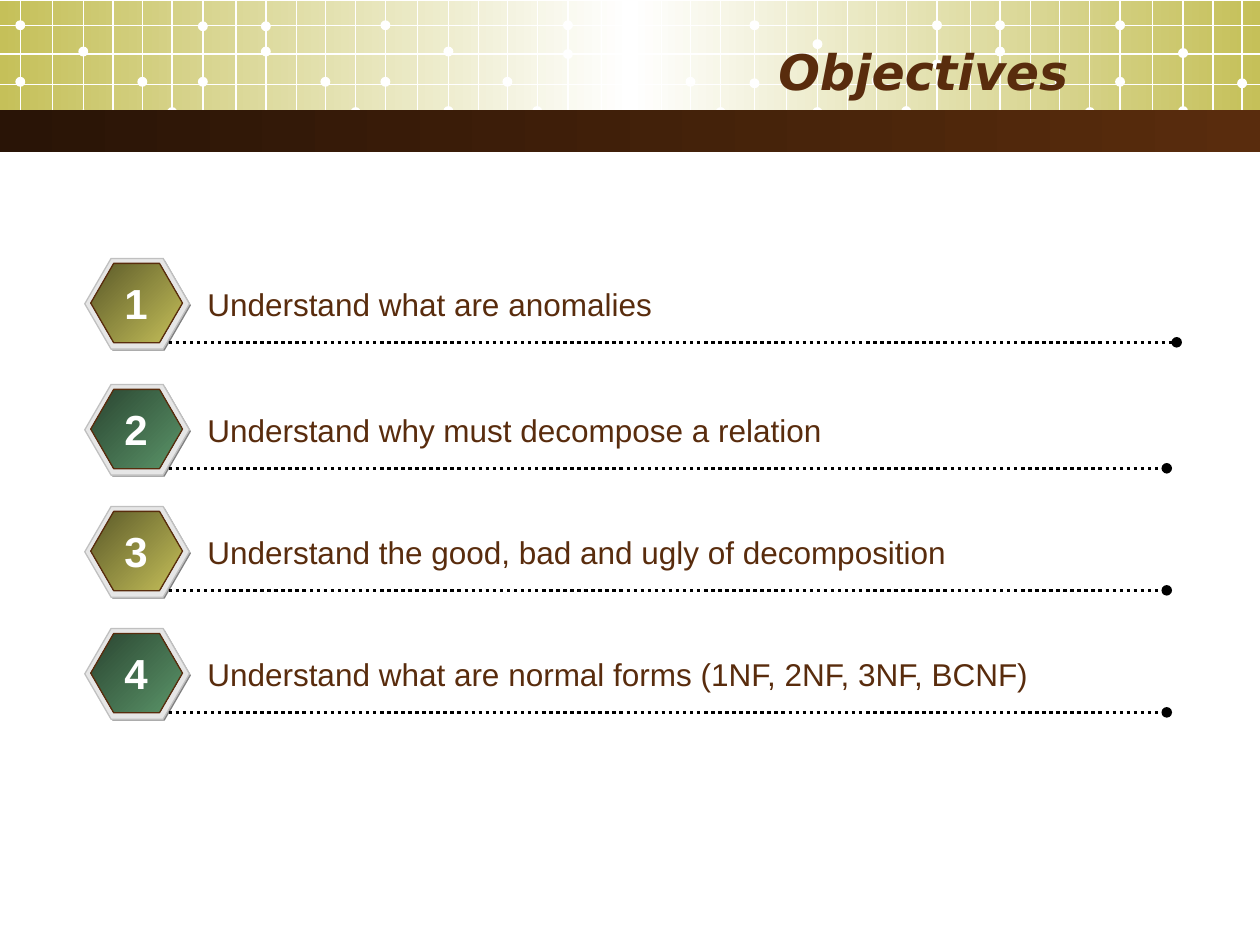
from copy import deepcopy

from lxml.etree import SubElement
from pptx import Presentation
from pptx.dml.color import RGBColor
from pptx.enum.dml import MSO_LINE
from pptx.enum.shapes import MSO_CONNECTOR, MSO_SHAPE
from pptx.enum.text import MSO_ANCHOR, MSO_AUTO_SIZE, PP_ALIGN
from pptx.oxml.ns import qn
from pptx.util import Cm, Pt

TITLE = "Objectives"
OBJECTIVES = [
    {"text": "Understand what are anomalies", "top": 5.21, "size": (13.49, 1.02), "rule_end": 23.72},
    {"text": "Understand why must decompose a relation", "top": 7.75, "size": (16.36, 1.02), "rule_end": 23.52},
    {"text": "Understand the good, bad and ugly of decomposition", "top": 10.21, "size": (19.41, 1.02), "rule_end": 23.52},
    {"text": "Understand what are normal forms (1NF, 2NF, 3NF, BCNF)", "top": 12.67, "size": (18.06, 1.78), "rule_end": 23.52},
]
COLORS = {
    "white": "FFFFFF", "black": "000000", "olive": "C5C059", "dark_olive": "5B5929",
    "green": "5B9569", "dark_green": "2A4531", "brown": "592C0D", "dark_brown": "291406",
    "badge_shadow": "808080", "badge_rim": "E6E6E6", "badge_edge": "C0C0C0",
}
BADGE_GRADIENTS = [("dark_olive", "olive"), ("dark_green", "green")]

SLIDE_WIDTH, SLIDE_HEIGHT = 25.4, 19.05
GRID_BOTTOM = 2.79
GRID_ROWS = [0.51, 1.09, 1.7, 2.26]
COLUMN_OFFSETS = [0, 0.65, 1.27, 1.87, 2.46, 3.06, 3.68, 4.35, 4.95, 5.56, 6.15, 6.76]
DOT_COLUMNS = [0, 0, 2, 2, 4, 5, 6, 6, 8, 8, 10, 11]
DOT_SIZE = 0.2
GRID_SECTIONS = [
    (0.41, [1.65, 0.51, 1.04, 2.31, 1.65, 2.26, 1.65, 0.53, 1.04, 0.53, 1.65, 2.26]),
    (7.77, [1.65, 0.51, 1.04, 2.24, 1.65, 2.24, 1.09, 0.51, 1.07, 0.51, 1.65, 2.26]),
    (15.21, [1.68, 0.51, 0.89, 2.26, 1.63, 2.24, 1.3, 0.51, 1.04, 0.51, 1.65, 2.26]),
    (22.58, [1.65, 0.51, 1.07, 2.24, 1.68]),
]
BADGE_LEFT = 1.71


def rgb(name):
    return RGBColor.from_string(COLORS[name])


def fill_gradient(shape, names, angle=0):
    shape.fill.gradient()
    shape.fill.gradient_angle = angle
    stop_list = shape.element.spPr.find(".//" + qn("a:gsLst"))
    while len(stop_list) < len(names):
        stop_list.append(deepcopy(stop_list[0]))
    for index, (stop, name) in enumerate(zip(shape.fill.gradient_stops, names)):
        stop.position = index / (len(names) - 1)
        stop.color.rgb = rgb(name)


def add_preset(shapes, preset, box, colors, edge=None, angle=0):
    shape = shapes.add_shape(preset, *map(Cm, box))
    shape.shadow.inherit = False
    if isinstance(colors, str):
        shape.fill.solid()
        shape.fill.fore_color.rgb = rgb(colors)
    else:
        fill_gradient(shape, colors, angle)
    if edge:
        shape.line.color.rgb = rgb(edge)
        shape.line.width = Pt(0.75)
    else:
        shape.line.fill.background()
    return shape


def add_line(shapes, start, end, color, width):
    line = shapes.add_connector(MSO_CONNECTOR.STRAIGHT, *map(Cm, start + end))
    line.line.color.rgb = rgb(color)
    line.line.width = Pt(width)
    SubElement(line.element.spPr, qn("a:effectLst"))
    return line


def style(paragraph, font, size, color, bold=False, italic=False, align=PP_ALIGN.LEFT):
    paragraph.alignment = align
    paragraph.font.name = font
    paragraph.font.size = Pt(size)
    paragraph.font.bold = bold
    paragraph.font.italic = italic
    paragraph.font.color.rgb = rgb(color)


def add_text(shapes, text, box, wrap, **look):
    frame = shapes.add_textbox(*map(Cm, box)).text_frame
    frame.word_wrap = wrap
    frame.auto_size = MSO_AUTO_SIZE.SHAPE_TO_FIT_TEXT
    frame.text = text
    style(frame.paragraphs[0], "Arial", **look)


def add_header(shapes):
    add_preset(shapes, MSO_SHAPE.RECTANGLE, (0, 0.03, SLIDE_WIDTH, 2.59), ("olive", "white", "olive"))
    for left, dot_heights in GRID_SECTIONS:
        for offset in COLUMN_OFFSETS:
            x = left + offset
            if x < SLIDE_WIDTH:
                add_line(shapes, (x, 0), (x, GRID_BOTTOM), "white", 0.75)
        for column, y in zip(DOT_COLUMNS, dot_heights):
            x = left + COLUMN_OFFSETS[column]
            dot_box = (x - DOT_SIZE / 2, y - DOT_SIZE / 2, DOT_SIZE, DOT_SIZE)
            add_preset(shapes, MSO_SHAPE.OVAL, dot_box, "white")
    for y in GRID_ROWS:
        add_line(shapes, (0, y), (SLIDE_WIDTH, y), "white", 0.75)
    add_preset(shapes, MSO_SHAPE.RECTANGLE, (0, 2.22, SLIDE_WIDTH, 0.84), ("dark_brown", "brown"))


def add_title(shapes):
    title = shapes.title
    shapes.element.append(title.element)
    title.left, title.top, title.width, title.height = map(Cm, (1.27, 0.64, 20.52, 1.57))
    title.text_frame.text = TITLE
    title.text_frame.vertical_anchor = MSO_ANCHOR.MIDDLE
    style(title.text_frame.paragraphs[0], "DejaVu Sans", 28, "brown", True, True, PP_ALIGN.RIGHT)


def add_badge(shapes, top, gradient):
    layers = [
        ((BADGE_LEFT + 0.03, top + 0.03, 2.11, 1.83), "badge_shadow", None),
        ((BADGE_LEFT, top, 2.11, 1.83), "badge_rim", "badge_edge"),
        ((BADGE_LEFT + 0.12, top + 0.1, 1.85, 1.6), gradient, "brown"),
    ]
    for box, colors, edge in layers:
        hexagon = add_preset(shapes, MSO_SHAPE.HEXAGON, box, colors, edge, angle=315)
        hexagon.adjustments[0] = 0.29


def add_objective(shapes, number, objective):
    top = objective["top"]
    add_badge(shapes, top, BADGE_GRADIENTS[(number - 1) % len(BADGE_GRADIENTS)])
    rule_y = top + 1.69
    rule = add_line(shapes, (3.4, rule_y), (objective["rule_end"], rule_y), "black", 2)
    rule.line.dash_style = MSO_LINE.ROUND_DOT
    SubElement(rule.element.spPr.find(qn("a:ln")), qn("a:tailEnd"), type="oval")
    add_text(shapes, objective["text"], (3.93, top + 0.41, *objective["size"]), True, size=18, color="brown")
    add_text(shapes, str(number), (2.26, top + 0.26, 0.97, 1.27), False,
             size=24, color="white", bold=True, align=PP_ALIGN.CENTER)


def main():
    presentation = Presentation()
    presentation.slide_width = Cm(SLIDE_WIDTH)
    presentation.slide_height = Cm(SLIDE_HEIGHT)
    shapes = presentation.slides.add_slide(presentation.slide_layouts[5]).shapes
    add_header(shapes)
    add_title(shapes)
    for number, objective in enumerate(OBJECTIVES, 1):
        add_objective(shapes, number, objective)
    presentation.save("out.pptx")


if __name__ == "__main__":
    main()
